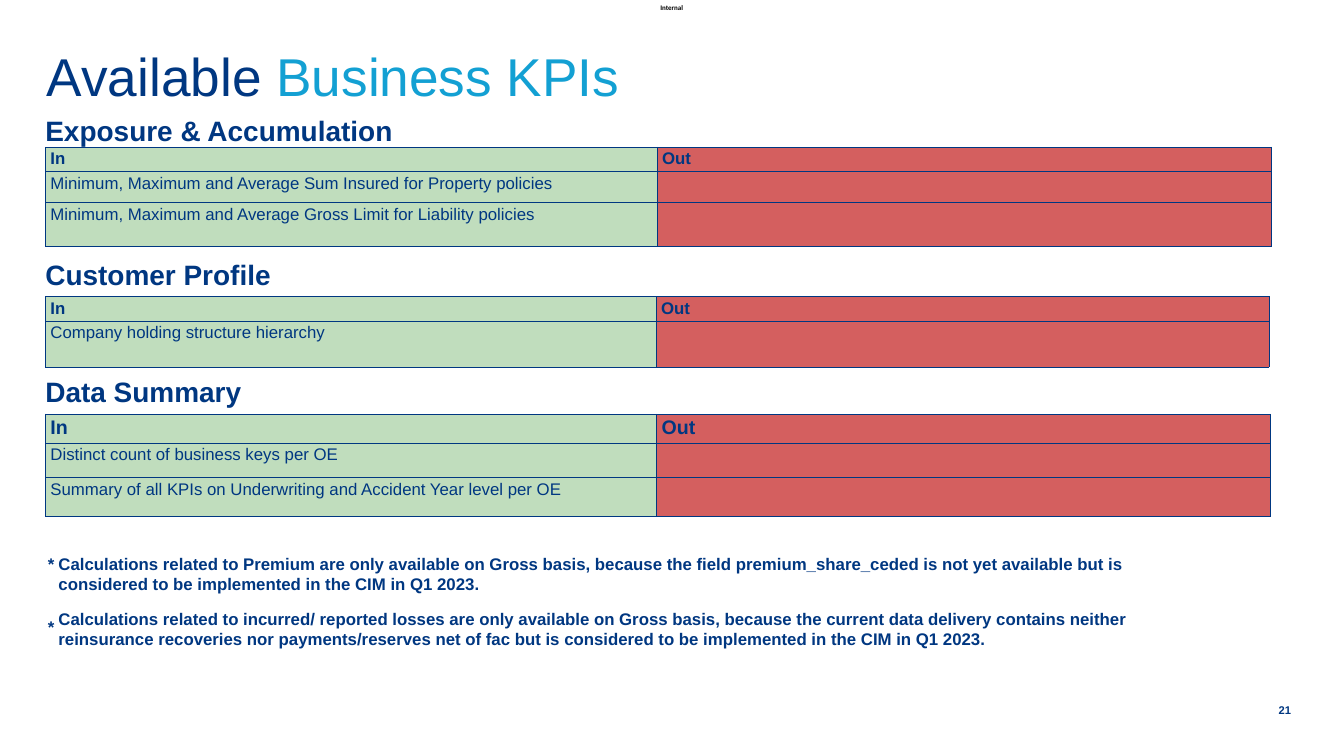
from pptx import Presentation, oxml
from pptx import util as u
from pptx.dml.color import RGBColor
from pptx.enum import text
from pptx.oxml import ns

COLORS = {"navy": "003781", "cyan": "13A0D3", "black": "000000",
          "in": "C0DDBD", "out": "D45F5F"}
LEFT = 0.9

SECTIONS = [
    ("Exposure & Accumulation", 2.25, 2.92, [12.14, 12.18], [0.48, 0.62, 0.87], 24,
     ["Minimum, Maximum and Average Sum Insured for Property policies",
      "Minimum, Maximum and Average Gross Limit for Liability policies"]),
    ("Customer Profile", 5.11, 5.88, [12.12, 12.16], [0.49, 0.91], 24,
     ["Company holding structure hierarchy"]),
    ("Data Summary", 7.43, 8.22, [12.13, 12.17], [0.57, 0.69, 0.77], 28,
     ["Distinct count of business keys per OE",
      "Summary of all KPIs on Underwriting and Accident Year level per OE"]),
]

FOOTNOTES = [
    (10.99, "Calculations related to Premium are only available on Gross basis, "
            "because the field premium_share_ceded is not yet available but is "
            "considered to be implemented in the CIM in Q1 2023."),
    (12.08, "Calculations related to incurred/ reported losses are only available on "
            "Gross basis, because the current data delivery contains neither "
            "reinsurance recoveries nor payments/reserves net of fac but is "
            "considered to be implemented in the CIM in Q1 2023."),
]


def format_font(font, size, color="navy", bold=False, name="Arial"):
    font.name = name
    font.size = u.Pt(size)
    font.bold = bold
    font.color.rgb = RGBColor.from_string(COLORS[color])


def clear_frame(frame, anchor):
    frame.word_wrap = True
    frame.auto_size = text.MSO_AUTO_SIZE.NONE
    frame.vertical_anchor = anchor
    frame.margin_left = frame.margin_right = 0
    frame.margin_top = frame.margin_bottom = 0


def add_title(slide, parts):
    title = slide.shapes.title
    title.left, title.top = u.Inches(0.93), u.Inches(1.07)
    title.width, title.height = u.Inches(21.97), u.Inches(1.94)
    clear_frame(title.text_frame, text.MSO_ANCHOR.TOP)
    paragraph = title.text_frame.paragraphs[0]
    paragraph.alignment = text.PP_ALIGN.LEFT
    paragraph.line_spacing = u.Pt(76)
    for words, color in parts:
        run = paragraph.add_run()
        run.text = words
        format_font(run.font, 76, color)


def add_text(slide, words, box, size, color="navy", name="Arial",
             alignment=text.PP_ALIGN.LEFT, anchor=text.MSO_ANCHOR.TOP):
    shape = slide.shapes.add_textbox(*map(u.Inches, box))
    frame = shape.text_frame
    clear_frame(frame, anchor)
    frame.text = words
    for paragraph in frame.paragraphs:
        paragraph.alignment = alignment
        for run in paragraph.runs:
            format_font(run.font, size, color, True, name)
    return shape


def add_borders(cell):
    properties = cell._tc.get_or_add_tcPr()
    for index, side in enumerate(["lnL", "lnR", "lnT", "lnB"]):
        line = oxml.parse_xml(
            f'<a:{side} {ns.nsdecls("a")} w="{u.Pt(1)}"><a:solidFill>'
            f'<a:srgbClr val="{COLORS["navy"]}"/></a:solidFill></a:{side}>')
        properties.insert(index, line)


def format_cell(cell, words, size, color, bold):
    cell.text = words
    cell.margin_left = cell.margin_right = u.Inches(0.1)
    cell.margin_top = cell.margin_bottom = u.Inches(0.05)
    cell.fill.solid()
    cell.fill.fore_color.rgb = RGBColor.from_string(COLORS[color])
    add_borders(cell)
    format_font(cell.text_frame.paragraphs[0].font, size)
    for run in cell.text_frame.paragraphs[0].runs:
        format_font(run.font, size, bold=bold)


def add_kpi_table(slide, top, widths, heights, header_size, kpis):
    rows = [("In", "Out")] + [(kpi, "") for kpi in kpis]
    frame = slide.shapes.add_table(len(rows), 2, u.Inches(LEFT), u.Inches(top),
                                   u.Inches(sum(widths)), u.Inches(sum(heights)))
    table = frame.table
    table.horz_banding = False
    for column, width in zip(table.columns, widths):
        column.width = u.Inches(width)
    for index, (row, height) in enumerate(zip(table.rows, heights)):
        row.height = u.Inches(height)
        header = index == 0
        size = header_size if header else 24
        for cell, words, color in zip(row.cells, rows[index], ["in", "out"]):
            format_cell(cell, words, size, color, header)


def main():
    presentation = Presentation()
    presentation.slide_width = u.Inches(26.67)
    presentation.slide_height = u.Inches(15)
    slide = presentation.slides.add_slide(presentation.slide_layouts[5])

    add_text(slide, "Internal", (12.96, 0, 0.74, 0.29), 10, "black", "Calibri",
             text.PP_ALIGN.CENTER, text.MSO_ANCHOR.MIDDLE)
    add_title(slide, [("Available ", "navy"), ("Business KPIs", "cyan")])
    add_text(slide, "21", (25.03, 13.94, 0.59, 0.31), 16,
             alignment=text.PP_ALIGN.RIGHT, anchor=text.MSO_ANCHOR.MIDDLE)

    for heading, heading_top, table_top, *contents in SECTIONS:
        add_kpi_table(slide, table_top, *contents)
        add_text(slide, heading, (LEFT, heading_top, 10.24, 0.67), 40)

    markers = add_text(slide, "*\n*", (0.95, 10.99, 0.2, 1.88), 24)
    markers.text_frame.paragraphs[1].space_before = u.Pt(61)
    for top, note in FOOTNOTES:
        add_text(slide, note, (1.16, top, 22.62, 1.03), 24)

    presentation.save("out.pptx")


if __name__ == "__main__":
    main()
